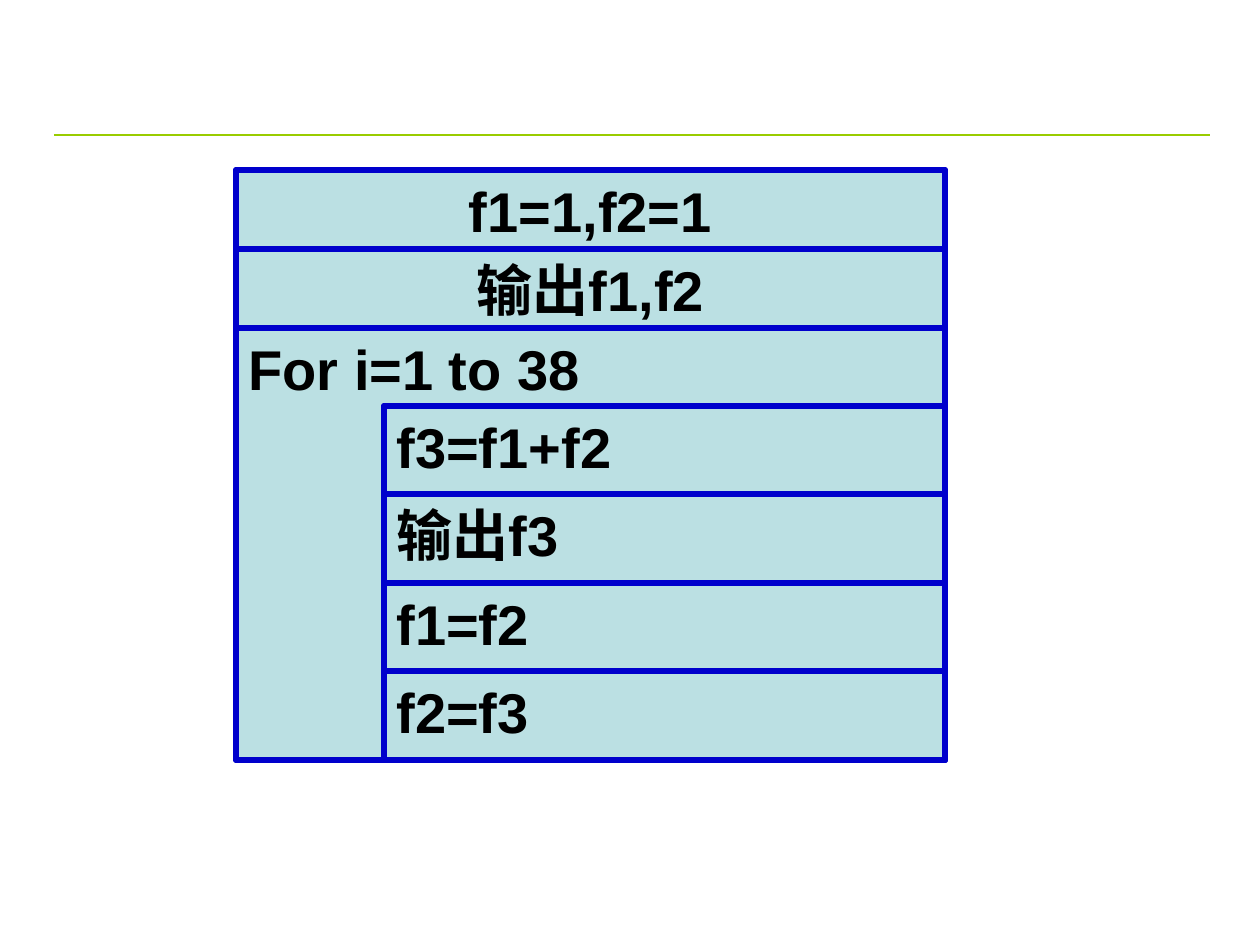
from lxml import etree
from pptx import Presentation, util as u
from pptx.dml.color import RGBColor
from pptx.enum import shapes, text
from pptx.oxml.ns import qn

PX_PER_INCH = 126
COLORS = {"rule": "99CC00", "fill": "BBE0E3", "border": "0000CC", "text": "000000"}
SHAPES = shapes.MSO_SHAPE
ALIGN = text.PP_ALIGN


def px(length):
    return u.Emu(round(length * u.Inches(1) / PX_PER_INCH))


def color(name):
    return RGBColor.from_string(COLORS[name])


def write(shape, words, align=ALIGN.LEFT, size=32, bold=True, font="Arial"):
    frame = shape.text_frame
    frame.word_wrap = True
    frame.vertical_anchor = text.MSO_ANCHOR.TOP
    paragraph = frame.paragraphs[0]
    paragraph.alignment = align
    run = paragraph.add_run()
    run.text = words
    run.font.name = font
    run.font.size = u.Pt(size)
    run.font.bold = bold
    run.font.color.rgb = color("text")


class Diagram:
    """Draws flow chart parts on one slide in a shared style."""

    def __init__(self, slide, border=3):
        self.slide = slide
        self.border = border

    def rule(self, left, right, y, width=1.5):
        line = self.slide.shapes.add_connector(
            shapes.MSO_CONNECTOR.STRAIGHT, px(left), px(y), px(right), px(y))
        line.line.color.rgb = color("rule")
        line.line.width = u.Pt(width)
        etree.SubElement(line._element.spPr, qn("a:effectLst"))

    def box(self, left, top, right, bottom, words="", kind=SHAPES.RECTANGLE, **style):
        shape = self.slide.shapes.add_shape(
            kind, px(left), px(top), px(right - left), px(bottom - top))
        shape.shadow.inherit = False
        shape.fill.solid()
        shape.fill.fore_color.rgb = color("fill")
        shape.line.color.rgb = color("border")
        shape.line.width = u.Pt(self.border)
        if words:
            write(shape, words, **style)


def main():
    presentation = Presentation()
    presentation.slide_width = px(1260)
    presentation.slide_height = px(945)
    diagram = Diagram(presentation.slides.add_slide(presentation.slide_layouts[6]))
    diagram.rule(54, 1210, 135)

    left, right, top, bottom = 236, 945, 170, 760
    row = 79
    loop_top = top + 2 * row
    process = SHAPES.FLOWCHART_PROCESS
    diagram.box(left, top, right, bottom, kind=process)
    diagram.box(left, top + row, right, loop_top, "输出f1,f2", align=ALIGN.CENTER)
    diagram.box(left, loop_top, right, bottom, "For i=1 to 38")

    body_left, body_top = 384, 406
    body_height = bottom - body_top
    steps = ["f3=f1+f2", "输出f3", "f1=f2", "f2=f3"]
    edges = [body_top + body_height * i // len(steps) for i in range(len(steps) + 1)]
    diagram.box(body_left, body_top, right, bottom, kind=process)
    for step, step_top, step_bottom in zip(steps, edges, edges[1:]):
        diagram.box(body_left, step_top, right, step_bottom, step, kind=process)

    diagram.box(left, top, right, top + row, "f1=1,f2=1", align=ALIGN.CENTER)
    presentation.save("out.pptx")


if __name__ == "__main__":
    main()
